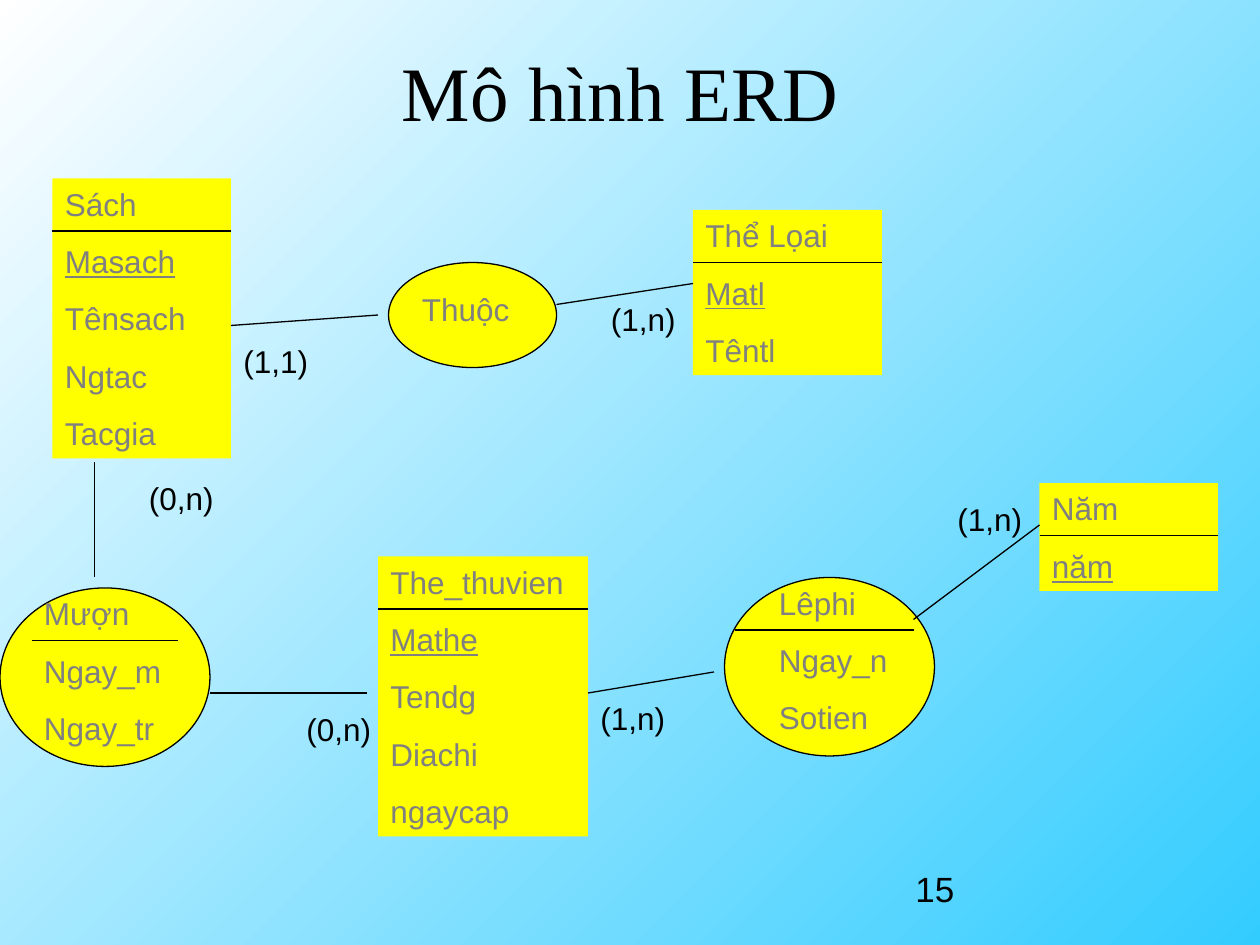
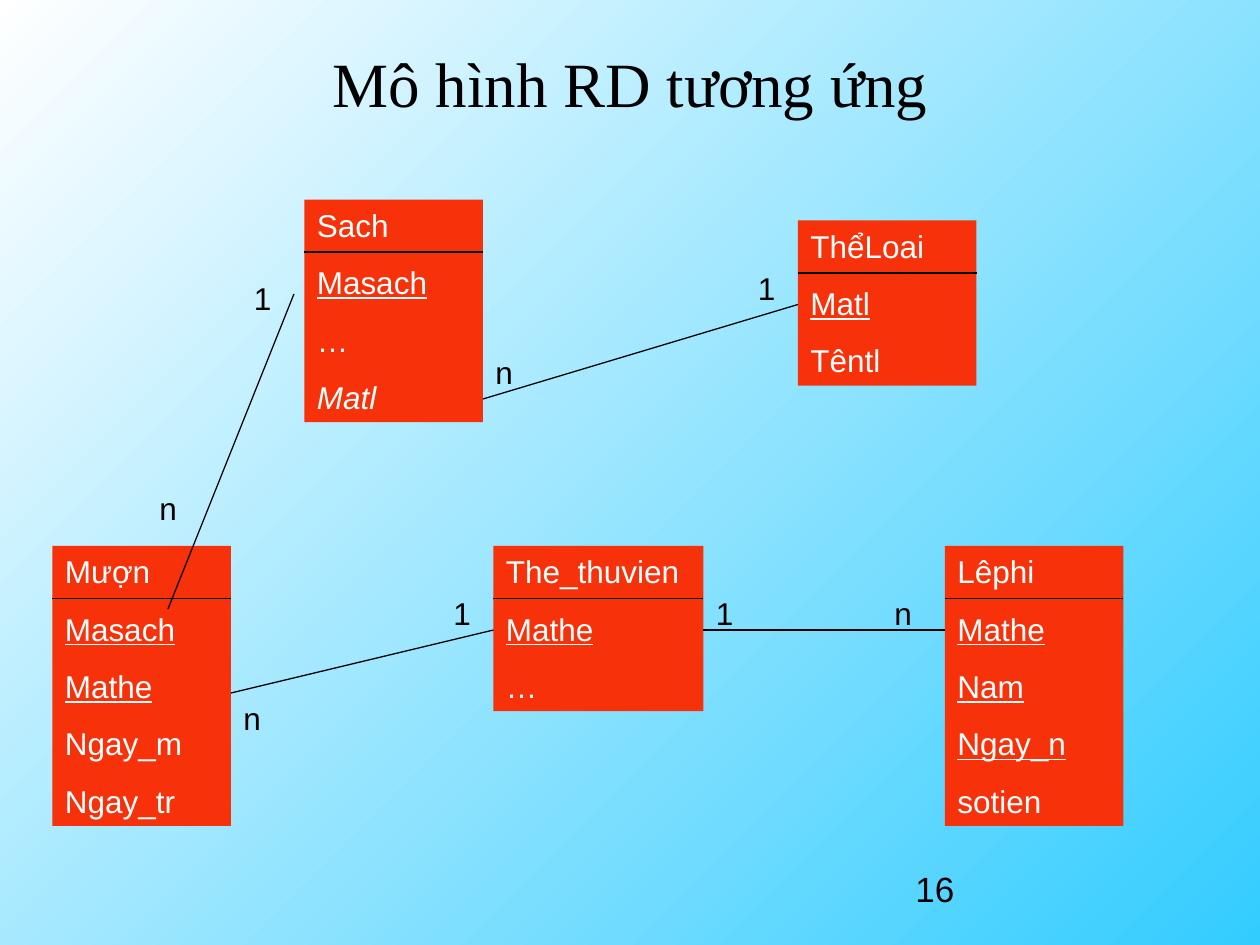
from dataclasses import dataclass
from typing import NamedTuple

from lxml.etree import SubElement
from pptx import Presentation
from pptx.dml.color import RGBColor
from pptx.enum.shapes import MSO_CONNECTOR as Connector, MSO_SHAPE as Shape
from pptx.enum.text import MSO_ANCHOR as Anchor, MSO_AUTO_SIZE as AutoSize, PP_ALIGN as Align
from pptx.oxml.ns import qn
from pptx.util import Pt

# Grid: 120 columns by 90 rows of square cells, twelve to the inch
COLUMNS, ROWS = 120, 90
CELL = Pt(6)
HEADER_ROWS = 5


@dataclass(frozen=True)
class Theme:
    ink: RGBColor = RGBColor(0, 0, 0)
    back_from: RGBColor = RGBColor(0xFF, 0xFF, 0xFF)
    back_to: RGBColor = RGBColor(0x33, 0xCC, 0xFF)
    erd_fill: RGBColor = RGBColor(0xFF, 0xFF, 0x00)
    erd_text: RGBColor = RGBColor(0x80, 0x80, 0x80)
    rd_fill: RGBColor = RGBColor(0xF7, 0x31, 0x09)
    rd_text: RGBColor = RGBColor(0xFF, 0xFF, 0xFF)
    title_font: str = "Times New Roman"
    body_font: str = "Arial"
    body_size: float = 18
    number_size: float = 20
    line_height: float = 21.6
    gap: float = 11.2
    margins: float = 7.2
    rule: float = 0.75


THEME = Theme()


class Box(NamedTuple):
    left: float
    top: float
    width: float
    height: float = 0

    def emu(self):
        return [int(CELL * value) for value in self]


class Field(NamedTuple):
    text: str
    key: bool = False
    foreign: bool = False


def key(text):
    return Field(text, key=True)


# Text
def add_span(para, text, size, color, font=THEME.body_font):
    span = para.add_run()
    span.text = text
    span.font.size = Pt(size)
    span.font.name = font
    span.font.color.rgb = color
    return span


def write_fields(shape, fields, color):
    frame = shape.text_frame
    frame.word_wrap = True
    frame.auto_size = AutoSize.SHAPE_TO_FIT_TEXT
    frame.vertical_anchor = Anchor.TOP
    for index, field in enumerate(fields):
        if isinstance(field, str):
            field = Field(field)
        para = frame.add_paragraph() if index else frame.paragraphs[0]
        para.alignment = Align.LEFT
        para.space_before = Pt(THEME.gap)
        para.line_spacing = Pt(THEME.line_height)
        span = add_span(para, field.text, THEME.body_size, color)
        span.font.underline = field.key or None
        span.font.italic = field.foreign or None


def text_rows(count):
    """Rows of the grid that a list of this many lines takes up."""
    points = THEME.margins + count * THEME.line_height + (count - 1) * THEME.gap
    return points / CELL.pt


# Diagram parts
def add_line(page, start, end):
    x1, y1, x2, y2 = Box(*start, *end).emu()
    line = page.shapes.add_connector(Connector.STRAIGHT, x1, y1, x2, y2)
    line.line.color.rgb = THEME.ink
    line.line.width = Pt(THEME.rule)
    SubElement(line._element.spPr, qn("a:effectLst"))


def add_filled(page, kind, box, fill):
    shape = page.shapes.add_shape(kind, *box.emu())
    shape.shadow.inherit = False
    shape.fill.solid()
    shape.fill.fore_color.rgb = fill
    shape.line.fill.background()
    return shape


def add_text(page, left, top, width, fields, color):
    box = Box(left, top, width, text_rows(len(fields)))
    write_fields(page.shapes.add_textbox(*box.emu()), fields, color)


def add_entity(page, left, top, width, fields, fill, color):
    box = Box(left, top, width, text_rows(len(fields)))
    write_fields(add_filled(page, Shape.RECTANGLE, box, fill), fields, color)
    row = top + HEADER_ROWS
    add_line(page, (left, row), (left + width, row))


def add_relation(page, box, text_at, fields, rule=None):
    """Ellipse with a list at (column, row, width) and a rule from its left edge."""
    ellipse = add_filled(page, Shape.OVAL, box, THEME.erd_fill)
    ellipse.line.color.rgb = THEME.ink
    ellipse.line.width = Pt(THEME.rule)
    column, row, width = text_at
    add_text(page, box.left + column, box.top + row, width, fields, THEME.erd_text)
    if rule:
        y = box.top + HEADER_ROWS
        add_line(page, (box.left + rule[0], y), (box.left + rule[1], y))


def add_links(page, links):
    for start, end in links:
        add_line(page, start, end)


def add_labels(page, width, labels):
    for text, left, top in labels:
        add_text(page, left, top, width, [text], THEME.ink)


# Parts shared by the slides
def paint_background(master):
    fill = master.background.fill
    fill.gradient()
    fill.gradient_angle = 315
    for stop, color in zip(fill.gradient_stops, (THEME.back_from, THEME.back_to)):
        stop.color.rgb = color


def add_page(deck, title, title_size, number):
    page = deck.slides.add_slide(deck.slide_layouts.get_by_name("Title Only"))
    heading = page.shapes.title
    heading.left, heading.top, heading.width, heading.height = Box(6, 3.6, 108, 15).emu()
    frame = heading.text_frame
    frame.vertical_anchor = Anchor.TOP
    frame.auto_size = AutoSize.NONE
    para = frame.paragraphs[0]
    para.alignment = Align.CENTER
    add_span(para, title, title_size, THEME.ink, THEME.title_font)
    # Page number
    corner = page.shapes.add_textbox(*Box(86, 82, 28, 6).emu())
    corner.text_frame.word_wrap = True
    add_span(corner.text_frame.paragraphs[0], str(number), THEME.number_size, THEME.ink)
    return page


# Entity-relationship diagram
def build_erd(deck):
    page = add_page(deck, "Mô hình ERD ", 44, 15)
    entities = [
        (66, 20, 18, ["Thể Lọai", key("Matl"), "Têntl"]),
        (5, 17, 17, ["Sách", key("Masach"), "Tênsach", "Ngtac", "Tacgia"]),
        (36, 53, 20, ["The_thuvien", key("Mathe"), "Tendg", "Diachi", "ngaycap"]),
        (99, 46, 17, ["Năm", key("năm")]),
    ]
    for entity in entities:
        add_entity(page, *entity, THEME.erd_fill, THEME.erd_text)
    add_relation(page, Box(0, 56, 20, 17), (3, 0, 14), ["Mượn", "Ngay_m", "Ngay_tr"], (3, 17))
    add_relation(page, Box(69, 55, 20, 17), (4, 0, 14), ["Lêphi", "Ngay_n", "Sotien"], (1, 18))
    add_relation(page, Box(37, 25, 16, 10), (2, 2, 13), ["Thuộc"])
    add_links(page, [
        ((9, 44), (9, 55)),
        ((20, 66), (35, 66)),
        ((56, 66), (68, 64)),
        ((87, 59), (99, 50)),
        ((22, 31), (36, 30)),
        ((53, 29), (66, 27)),
    ])
    add_labels(page, 11, [
        ("(0,n)", 13, 45), ("(0,n)", 28, 67), ("(1,n)", 56, 66),
        ("(1,n)", 90, 47), ("(1,n)", 57, 28), ("(1,1)", 22, 32),
    ])


# Relational diagram
def build_rd(deck):
    page = add_page(deck, "Mô hình RD tương ứng", 36, 16)
    tables = [
        (76, 21, 17, ["ThểLoai", key("Matl"), "Têntl"]),
        (29, 19, 17, ["Sach", key("Masach"), "…", Field("Matl", foreign=True)]),
        (5, 52, 17, ["Mượn", key("Masach"), key("Mathe"), "Ngay_m", "Ngay_tr"]),
        (47, 52, 20, ["The_thuvien", key("Mathe"), "…"]),
        (90, 52, 17, ["Lêphi", key("Mathe"), key("Nam"), key("Ngay_n"), "sotien"]),
    ]
    for table in tables:
        add_entity(page, *table, THEME.rd_fill, THEME.rd_text)
    add_links(page, [
        ((76, 29), (46, 38)),
        ((28, 28), (16, 58)),
        ((47, 60), (22, 66)),
        ((67, 60), (90, 60)),
    ])
    add_labels(page, 5, [
        ("1", 67, 56), ("n", 84, 56), ("1", 71, 25), ("n", 46, 33),
        ("1", 23, 26), ("n", 14, 46), ("1", 42, 56), ("n", 22, 66),
    ])


def main():
    deck = Presentation()
    deck.slide_width, deck.slide_height = CELL * COLUMNS, CELL * ROWS
    paint_background(deck.slide_master)
    build_erd(deck)
    build_rd(deck)
    deck.save("out.pptx")


if __name__ == "__main__":
    main()
